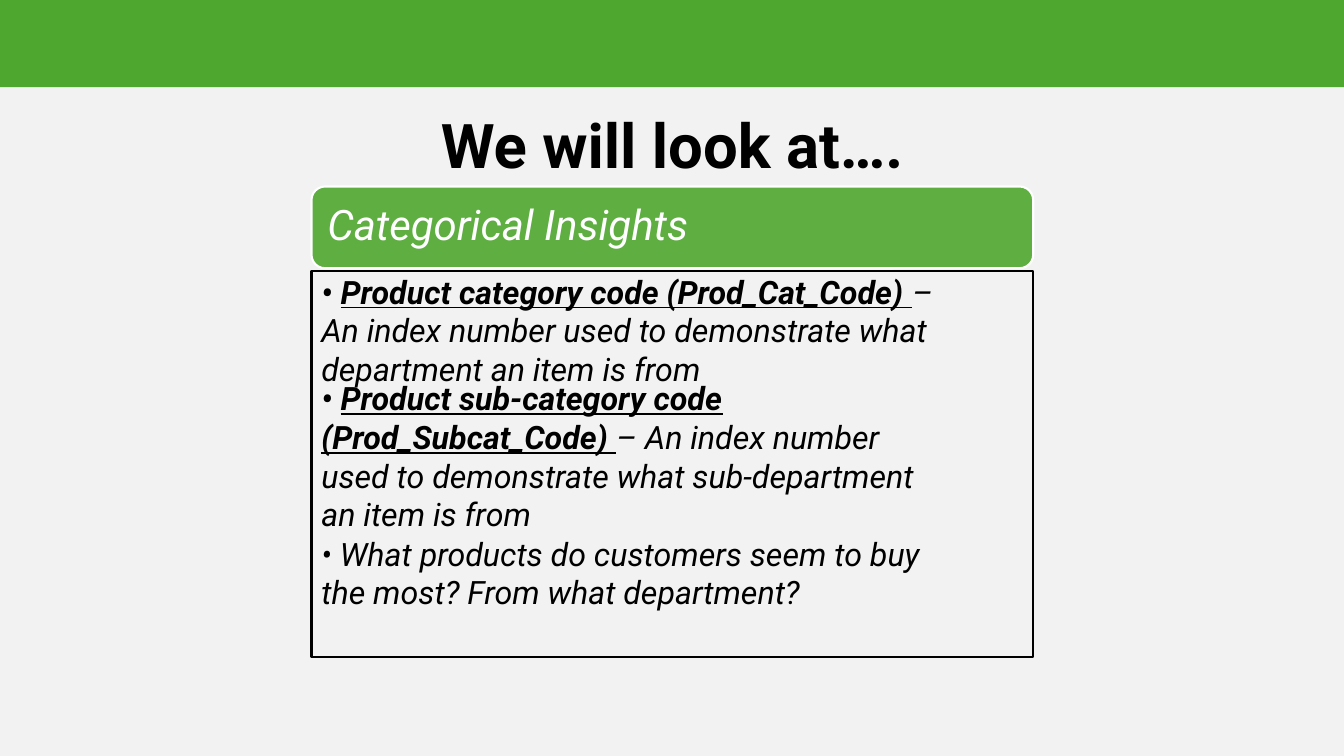
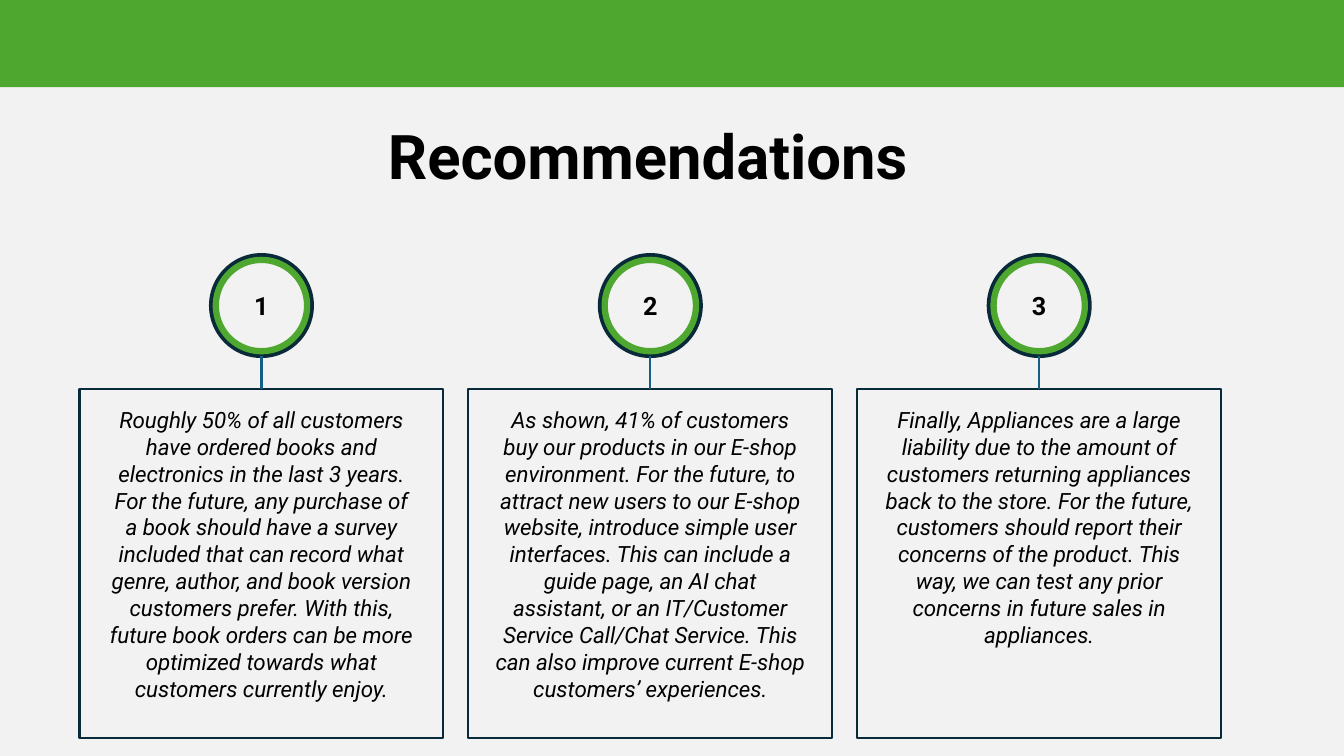
"""Build two slides: the categorical insights overview and the recommendations."""
from typing import NamedTuple

from lxml.etree import SubElement
from pptx import Presentation
from pptx.dml.color import RGBColor
from pptx.enum.shapes import MSO_CONNECTOR as Connector, MSO_SHAPE as Preset
from pptx.enum.text import MSO_ANCHOR as Anchor, PP_ALIGN as Align
from pptx.oxml.ns import qn
from pptx.presentation import Presentation as Deck
from pptx.shapes.autoshape import Shape
from pptx.slide import Slide
from pptx.text.text import Font
from pptx.util import Cm, Pt

GREEN = RGBColor(0x4E, 0xA7, 0x2E)
NAVY = RGBColor(0x09, 0x2A, 0x39)
TEAL = RGBColor(0x15, 0x60, 0x82)
BLACK = RGBColor(0x00, 0x00, 0x00)
WHITE = RGBColor(0xFF, 0xFF, 0xFF)
PALE_GREY = RGBColor(0xF2, 0xF2, 0xF2)

FONT_NAME = "Roboto"
SLIDE_WIDTH, SLIDE_HEIGHT = 33.87, 19.05
BAND_HEIGHT = 2.2
PANEL_LEFT, PANEL_WIDTH = 7.85, 18.19
FIRST_CENTRE, COLUMN_PITCH = 6.59, 9.8
RING_MIDDLE, OUTER_RING, INNER_RING = 7.7, 2.54, 2.3
CARD_TOP, CARD_WIDTH, CARD_HEIGHT = 9.8, 9.17, 8.79
CARD_TEXT_TOP, CARD_TEXT_WIDTH = 10.11, 8.33


class Area(NamedTuple):
    """Left, top, width and height in centimetres."""

    left: float
    top: float
    width: float
    height: float

    def lengths(self) -> list[Cm]:
        """Return the four measures as slide lengths."""
        return [Cm(value) for value in self]


class Insight(NamedTuple):
    """A bullet with an optional underlined term."""

    top: float
    height: float
    term: str
    detail: str


INSIGHTS = (
    Insight(6.73, 4.19, "Product category code (Prod_Cat_Code) ",
            "– An index number used to demonstrate what department an item is from"),
    Insight(9.42, 5.18, "Product sub-category code (Prod_Subcat_Code) ",
            "– An index number used to demonstrate what sub-department an item is from"),
    Insight(13.33, 3.2, "",
            "What products do customers seem to buy the most? From what department?"),
)

RECOMMENDATIONS = (
    "Roughly 50% of all customers have ordered books and electronics in the last 3 years. "
    "For the future, any purchase of a book should have a survey included that can record "
    "what genre, author, and book version customers prefer. With this, future book orders "
    "can be more optimized towards what customers currently enjoy.",
    "As shown, 41% of customers buy our products in our E-shop environment. For the future, "
    "to attract new users to our E-shop website, introduce simple user interfaces. This can "
    "include a guide page, an AI chat assistant, or an IT/Customer Service Call/Chat Service. "
    "This can also improve current E-shop customers’ experiences.",
    "Finally, Appliances are a large liability due to the amount of customers returning "
    "appliances back to the store. For the future, customers should report their concerns of "
    "the product. This way, we can test any prior concerns in future sales in appliances.",
)


def style_font(font: Font, size: float, color: RGBColor = BLACK,
               bold: bool = False, italic: bool = False) -> None:
    """Apply the deck typeface and the given look."""
    font.name = FONT_NAME
    font.size = Pt(size)
    font.color.rgb = color
    font.bold = bold
    font.italic = italic


def add_box(slide: Slide, preset: Preset, area: Area, fill: RGBColor | None = None,
            line: RGBColor | None = None, line_width: float = 1.5) -> Shape:
    """Add a flat preset shape."""
    box = slide.shapes.add_shape(preset, *area.lengths())
    box.shadow.inherit = False
    if fill is None:
        box.fill.background()
    else:
        box.fill.solid()
        box.fill.fore_color.rgb = fill
    if line is None:
        box.line.fill.background()
    else:
        box.line.color.rgb = line
        box.line.width = Pt(line_width)
    return box


def add_text(slide: Slide, area: Area) -> Shape:
    """Add an empty wrapping text box."""
    box = slide.shapes.add_textbox(*area.lengths())
    box.text_frame.word_wrap = True
    return box


def write(box: Shape, text: str, size: float, color: RGBColor = BLACK,
          align: Align = Align.CENTER, bold: bool = False, italic: bool = False) -> None:
    """Write one styled paragraph into a box."""
    para = box.text_frame.paragraphs[0]
    para.text = text
    para.alignment = align
    style_font(para.runs[0].font, size, color, bold, italic)


def add_page(deck: Deck, title: str, title_area: Area) -> Slide:
    """Add a blank page with the green band and a title."""
    page = deck.slides.add_slide(deck.slide_layouts[6])
    page.background.fill.solid()
    page.background.fill.fore_color.rgb = PALE_GREY
    add_box(page, Preset.RECTANGLE, Area(0, 0, SLIDE_WIDTH, BAND_HEIGHT), GREEN)
    box = add_text(page, title_area)
    box.text_frame.vertical_anchor = Anchor.MIDDLE
    write(box, title, 44, bold=True)
    box.text_frame.paragraphs[0].line_spacing = 0.9
    return page


def add_heading(page: Slide, text: str) -> None:
    """Add the rounded, slightly transparent panel heading."""
    heading = add_box(page, Preset.ROUNDED_RECTANGLE,
                      Area(PANEL_LEFT, 4.7, PANEL_WIDTH, 2.06), GREEN, WHITE)
    color = heading.fill._xPr.find(f"{qn('a:solidFill')}/{qn('a:srgbClr')}")
    SubElement(color, qn("a:alpha")).set("val", "90000")
    frame = heading.text_frame
    frame.margin_left = frame.margin_right = Cm(0.3)
    frame.vertical_anchor = Anchor.MIDDLE
    write(heading, text, 30, WHITE, Align.LEFT, italic=True)
    frame.paragraphs[0].line_spacing = 0.9


def add_insight(page: Slide, insight: Insight) -> None:
    """Add one bullet with its term underlined."""
    box = add_text(page, Area(PANEL_LEFT, insight.top, 16.03, insight.height))
    para = box.text_frame.paragraphs[0]
    has_term = bool(insight.term)
    if has_term:
        parts = (("• ", True), (insight.term, True), (insight.detail, False))
    else:
        parts = ((f"• {insight.detail}", False),)
    for text, bold in parts:
        span = para.add_run()
        span.text = text
        style_font(span.font, 23, bold=bold, italic=True)
        span.font.underline = has_term and text == insight.term


def add_ring(page: Slide, centre: float, size: float, color: RGBColor, width: float) -> Shape:
    """Add an unfilled circle around a column centre."""
    area = Area(centre - size / 2, RING_MIDDLE - size / 2, size, size)
    return add_box(page, Preset.OVAL, area, line=color, line_width=width)


def add_recommendation(page: Slide, index: int, text: str) -> None:
    """Add a numbered ring joined to its text card."""
    centre = FIRST_CENTRE + index * COLUMN_PITCH
    add_ring(page, centre, OUTER_RING, NAVY, 3)
    badge = add_ring(page, centre, INNER_RING, GREEN, 4.5)
    badge.text_frame.vertical_anchor = Anchor.MIDDLE
    write(badge, str(index + 1), 18, bold=True)

    words = add_text(page, Area(centre - CARD_TEXT_WIDTH / 2, CARD_TEXT_TOP,
                                CARD_TEXT_WIDTH, 7.77))
    write(words, text, 16, italic=True)
    card = add_box(page, Preset.RECTANGLE,
                   Area(centre - CARD_WIDTH / 2, CARD_TOP, CARD_WIDTH, CARD_HEIGHT), line=NAVY)

    stem = page.shapes.add_connector(Connector.STRAIGHT, Cm(centre),
                                     Cm(RING_MIDDLE + OUTER_RING / 2), Cm(centre), Cm(CARD_TOP))
    stem.end_connect(card, 0)
    stem.line.color.rgb = TEAL
    stem.line.width = Pt(1.5)
    SubElement(stem._element.spPr, qn("a:effectLst"))


def build_insights(deck: Deck) -> None:
    """Build the overview of the categorical insights."""
    page = add_page(deck, "We will look at….", Area(8.74, 2.49, 16.41, 2.49))
    add_heading(page, "Categorical Insights")
    add_box(page, Preset.RECTANGLE, Area(PANEL_LEFT, 6.83, PANEL_WIDTH, 9.73), line=BLACK)
    for insight in INSIGHTS:
        add_insight(page, insight)


def build_recommendations(deck: Deck) -> None:
    """Build the three numbered recommendations."""
    page = add_page(deck, "Recommendations", Area(1.73, 2.18, 29.21, 3.68))
    for index, text in enumerate(RECOMMENDATIONS):
        add_recommendation(page, index, text)


def main() -> None:
    """Build and save the deck."""
    deck = Presentation()
    deck.slide_width = Cm(SLIDE_WIDTH)
    deck.slide_height = Cm(SLIDE_HEIGHT)
    build_insights(deck)
    build_recommendations(deck)
    deck.save("out.pptx")


if __name__ == "__main__":
    main()
